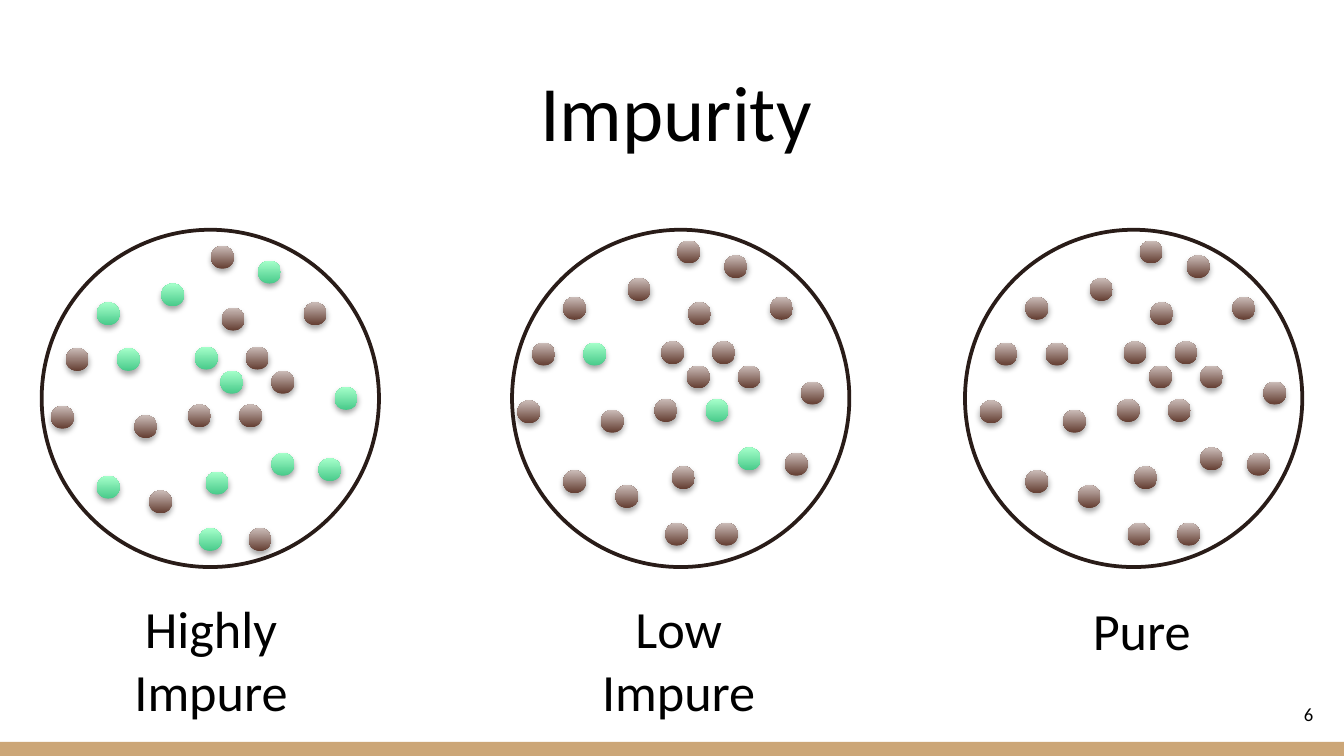
from dataclasses import dataclass

from lxml.etree import SubElement
from pptx import Presentation
from pptx.dml.color import RGBColor
from pptx.enum.shapes import MSO_SHAPE as Shape
from pptx.enum.text import MSO_ANCHOR as Anchor, MSO_AUTO_SIZE as AutoSize, PP_ALIGN as Align
from pptx.oxml.ns import qn
from pptx.util import Inches, Pt

FONT = "Calibri"
BLACK = "000000"
BROWN = ("633D31", "CBBCB8")
GREEN = ("48CA8A", "A5FFCA")
CIRCLE_TOP, CIRCLE_SIZE, DOT_SIZE = 1.71, 2.51, 0.17

# Dot positions in the first circle; the other circles shift them.
DOTS = [
    (0.72, 2.25), (1.2, 2.11), (0.49, 2.59), (0.87, 2.59), (1.57, 1.83), (1.92, 1.94),
    (0.38, 3.02), (1, 3.09), (0.72, 3.54), (1.11, 3.65), (1.64, 2.76), (2.02, 2.76),
    (1.45, 2.58), (1.83, 2.58), (1.4, 3.01), (1.78, 3.01), (1.65, 2.29), (2.26, 2.25),
    (1.53, 3.51), (2.02, 3.37), (1.48, 3.93), (1.85, 3.93), (2.49, 2.88), (2.37, 3.41),
]


@dataclass
class Group:
    label: str
    label_left: float
    label_top: float
    label_width: float
    circle_left: float
    dx: float
    dy: float
    green: set[int]


GROUPS = [
    Group("Highly Impure", 0.6, 4.39, 1.94, 0.31, 0, 0,
          {0, 1, 3, 5, 8, 10, 12, 18, 19, 20, 22, 23}),
    Group("Low Impure", 4.2, 4.39, 1.7, 3.81, 3.47, -0.04, {3, 15, 19}),
    Group("Pure", 7.76, 4.4, 1.47, 7.18, 6.91, -0.04, set()),
]


def rgb(color: str) -> RGBColor:
    return RGBColor.from_string(color)


def add_shape(slide, kind: Shape, left: float, top: float, width: float, height: float):
    sp = slide.shapes.add_shape(kind, Inches(left), Inches(top), Inches(width), Inches(height))
    sp.shadow.inherit = False
    return sp


def add_circle(slide, left: float) -> None:
    sp = add_shape(slide, Shape.OVAL, left, CIRCLE_TOP, CIRCLE_SIZE, CIRCLE_SIZE)
    sp.fill.background()
    sp.line.color.rgb = rgb("291C18")
    sp.line.width = Pt(2)


def add_dot(slide, left: float, top: float, colors: tuple[str, str]) -> None:
    sp = add_shape(slide, Shape.OVAL, left, top, DOT_SIZE, DOT_SIZE)
    sp.line.fill.background()
    sp.fill.gradient()
    sp.fill.gradient_angle = 90
    for stop, color in zip(sp.fill.gradient_stops, colors):
        stop.color.rgb = rgb(color)
    add_drop_shadow(sp)


def add_drop_shadow(sp) -> None:
    effects = sp._element.spPr.find(qn("a:effectLst"))
    shadow = SubElement(effects, qn("a:outerShdw"), blurRad=str(Pt(3.1)), dist=str(Pt(1.8)),
                        dir="5400000", rotWithShape="0")
    color = SubElement(shadow, qn("a:srgbClr"), val=BLACK)
    SubElement(color, qn("a:alpha"), val="35000")


def write(sp, text: str, size: float, align: Align, anchor: Anchor) -> None:
    tf = sp.text_frame
    tf.text = text
    tf.word_wrap = True
    tf.auto_size = AutoSize.NONE
    tf.vertical_anchor = anchor
    p = tf.paragraphs[0]
    p.alignment = align
    p.font.name = FONT
    p.font.size = Pt(size)
    p.font.color.rgb = rgb(BLACK)


def add_text(slide, left: float, top: float, width: float, height: float, text: str,
             size: float, align: Align, anchor: Anchor) -> None:
    sp = slide.shapes.add_textbox(Inches(left), Inches(top), Inches(width), Inches(height))
    write(sp, text, size, align, anchor)


def add_title(slide, text: str) -> None:
    sp = slide.shapes.title
    sp.left, sp.top, sp.width, sp.height = (Inches(v) for v in (0.37, 0.36, 9.32, 0.91))
    write(sp, text, 42, Align.CENTER, Anchor.BOTTOM)
    tf = sp.text_frame
    tf.margin_left = tf.margin_right = tf.margin_top = tf.margin_bottom = Inches(0.1)


def main() -> None:
    prs = Presentation()
    prs.slide_width = Inches(10)
    prs.slide_height = Inches(10 * 9 / 16)
    slide = prs.slides.add_slide(prs.slide_layouts[5])

    bar = add_shape(slide, Shape.RECTANGLE, 0, 5.52, 10, 0.11)
    bar.fill.solid()
    bar.fill.fore_color.rgb = rgb("CCA677")
    bar.line.fill.background()
    add_title(slide, "Impurity")

    for group in GROUPS:
        add_circle(slide, group.circle_left)
        for i, (x, y) in enumerate(DOTS):
            add_dot(slide, x + group.dx, y + group.dy, GREEN if i in group.green else BROWN)
        add_text(slide, group.label_left, group.label_top, group.label_width, 0.57,
                 group.label, 28, Align.CENTER, Anchor.TOP)
    add_text(slide, 9.27, 5.1, 0.6, 0.43, "6", 10, Align.RIGHT, Anchor.MIDDLE)

    prs.save("out.pptx")


if __name__ == "__main__":
    main()
